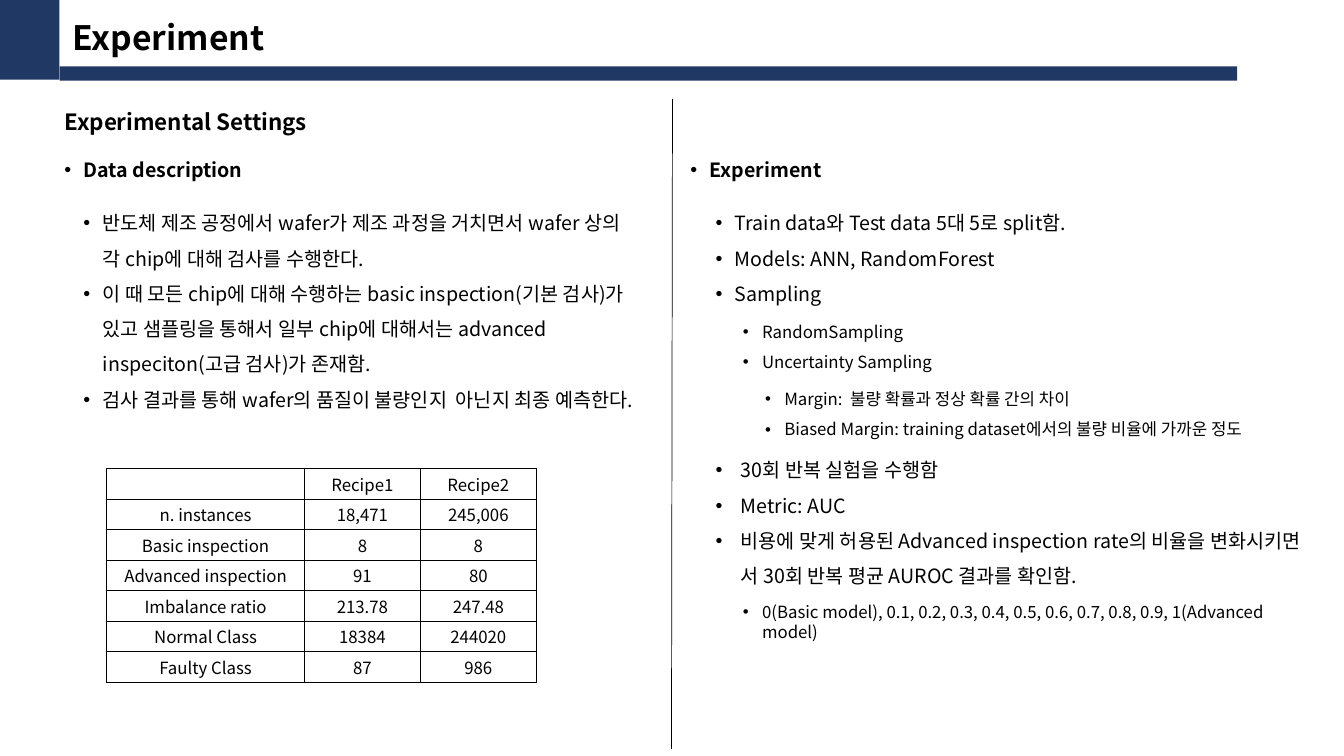
from pptx import Presentation
from pptx.dml.color import RGBColor
from pptx.enum.shapes import MSO_CONNECTOR, MSO_SHAPE
from pptx.enum.text import MSO_ANCHOR, PP_ALIGN
from pptx.oxml.ns import qn
from pptx.util import Pt
from lxml.etree import SubElement

PX = 9144
COLORS = {"navy": "1F3864", "ink": "000000"}
FONT = "Noto Sans CJK KR"


class SlideBuilder:
    def __init__(self, deck):
        self.slide = deck.slides.add_slide(deck.slide_layouts[5])

    def color(self, name):
        return RGBColor.from_string(COLORS[name])

    def place(self, box):
        return [length * PX for length in box]

    def style(self, paragraph, size, bold=False):
        for run in paragraph.runs:
            run.font.name = FONT
            run.font.size = Pt(size)
            run.font.bold = bold
            run.font.color.rgb = self.color("ink")
            SubElement(run.font._element, qn("a:ea"), typeface=FONT)

    def title(self, text, box):
        heading = self.slide.shapes.title
        heading.left, heading.top, heading.width, heading.height = self.place(box)
        frame = heading.text_frame
        frame.text = text
        frame.vertical_anchor = MSO_ANCHOR.MIDDLE
        frame.paragraphs[0].alignment = PP_ALIGN.LEFT
        self.style(frame.paragraphs[0], 24, True)

    def bar(self, box):
        band = self.slide.shapes.add_shape(MSO_SHAPE.RECTANGLE, *self.place(box))
        band.shadow.inherit = False
        band.fill.solid()
        band.fill.fore_color.rgb = self.color("navy")
        band.line.fill.background()

    def text(self, lines, box, size, bold=False, spacing=1.0, indent=19):
        frame = self.slide.shapes.add_textbox(*self.place(box)).text_frame
        frame.word_wrap = True
        for index, line in enumerate(lines):
            paragraph = frame.add_paragraph() if index else frame.paragraphs[0]
            paragraph.text = line
            paragraph.line_spacing = spacing
            self.style(paragraph, size, bold)
            if indent:
                self.bullet(paragraph, indent)
        return frame.paragraphs

    def bullet(self, paragraph, indent):
        properties = paragraph._p.get_or_add_pPr()
        properties.set("marL", str(indent * PX))
        properties.set("indent", str(-indent * PX))
        SubElement(properties, qn("a:buFont"), typeface="Arial")
        SubElement(properties, qn("a:buChar"), char="•")

    def table(self, rows, box, widths):
        left, top, width, height = self.place(box)
        grid = self.slide.shapes.add_table(
            len(rows), len(widths), left, top, width, height).table
        for column, column_width in zip(grid.columns, widths):
            column.width = column_width * PX
        for row, values in zip(grid.rows, rows):
            row.height = height // len(rows)
            for cell, value in zip(row.cells, values):
                self.cell(cell, value)

    def cell(self, cell, value):
        cell.text = value
        cell.vertical_anchor = MSO_ANCHOR.MIDDLE
        cell.margin_top = cell.margin_bottom = 0
        paragraph = cell.text_frame.paragraphs[0]
        paragraph.alignment = PP_ALIGN.CENTER
        self.style(paragraph, 12)
        properties = cell._tc.get_or_add_tcPr()
        for side in ("a:lnL", "a:lnR", "a:lnT", "a:lnB"):
            border = SubElement(properties, qn(side), w=str(Pt(1)))
            fill = SubElement(border, qn("a:solidFill"))
            SubElement(fill, qn("a:srgbClr"), val=COLORS["ink"])
        cell.fill.background()

    def line(self, start, end):
        divider = self.slide.shapes.add_connector(
            MSO_CONNECTOR.STRAIGHT, *self.place(start + end))
        divider.line.color.rgb = self.color("ink")
        divider.line.width = Pt(0.5)
        SubElement(divider._element.spPr, qn("a:effectLst"))


def main():
    deck = Presentation()
    deck.slide_width, deck.slide_height = 1333 * PX, 750 * PX
    page = SlideBuilder(deck)

    page.bar((0, 0, 59, 79))
    page.bar((59, 66, 1168, 14))
    page.title("Experiment", (62, 12, 445, 50))
    page.text(["Experimental Settings"], (54, 102, 401, 37), 16, True, indent=0)

    page.text(["Data description"], (54, 152, 461, 34), 14, True)
    page.text([
        "반도체 제조 공정에서 wafer가 제조 과정을 거치면서 wafer 상의 각 chip에 대해 검사를 수행한다.",
        "이 때 모든 chip에 대해 수행하는 basic inspection(기본 검사)가 있고 샘플링을 통해서 "
        "일부 chip에 대해서는 advanced inspeciton(고급 검사)가 존재함.",
        "검사 결과를 통해 wafer의 품질이 불량인지  아닌지 최종 예측한다.",
    ], (73, 193, 560, 291), 14, spacing=1.5)
    page.table([
        ("", "Recipe1", "Recipe2"),
        ("n. instances", "18,471", "245,006"),
        ("Basic inspection", "8", "8"),
        ("Advanced inspection", "91", "80"),
        ("Imbalance ratio", "213.78", "247.48"),
        ("Normal Class", "18384", "244020"),
        ("Faulty Class", "87", "986"),
    ], (106, 465, 426, 212), (196, 115, 115))

    page.line((667, 98), (666, 743))

    page.text(["Experiment"], (675, 152, 224, 34), 14, True)
    page.text([
        "Train data와 Test data 5대 5로 split함.",
        "Models: ANN, RandomForest",
        "Sampling",
    ], (700, 193, 706, 115), 14, spacing=1.5)
    page.text(["RandomSampling", "Uncertainty Sampling"],
              (727, 304, 705, 67), 12, spacing=1.5)
    page.text([
        "Margin:  불량 확률과 정상 확률 간의 차이",
        "Biased Margin: training dataset에서의 불량 비율에 가까운 정도",
    ], (749, 371, 630, 67), 12, spacing=1.5)
    page.text([
        "30회 반복 실험을 수행함",
        "Metric: AUC",
        "비용에 맞게 허용된 Advanced inspection rate의 비율을 변화시키면\v서 30회 반복 평균 AUROC 결과를 확인함.",
    ], (700, 438, 706, 154), 14, spacing=1.5, indent=25)
    page.text(["0(Basic model), 0.1, 0.2, 0.3, 0.4, 0.5, 0.6, 0.7, 0.8, 0.9, 1(Advanced model)"],
              (727, 592, 587, 30), 12)

    deck.save("out.pptx")


if __name__ == "__main__":
    main()
